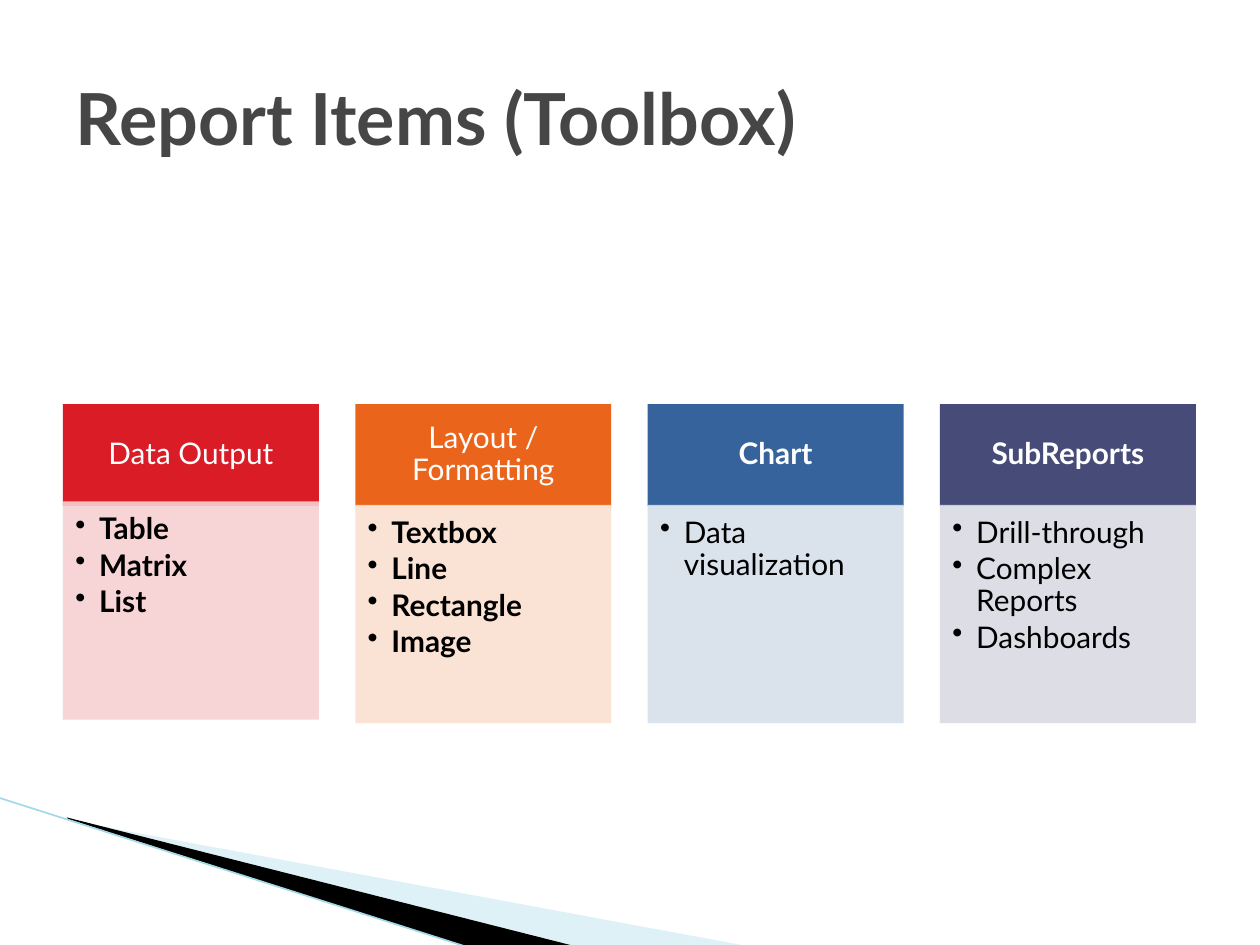
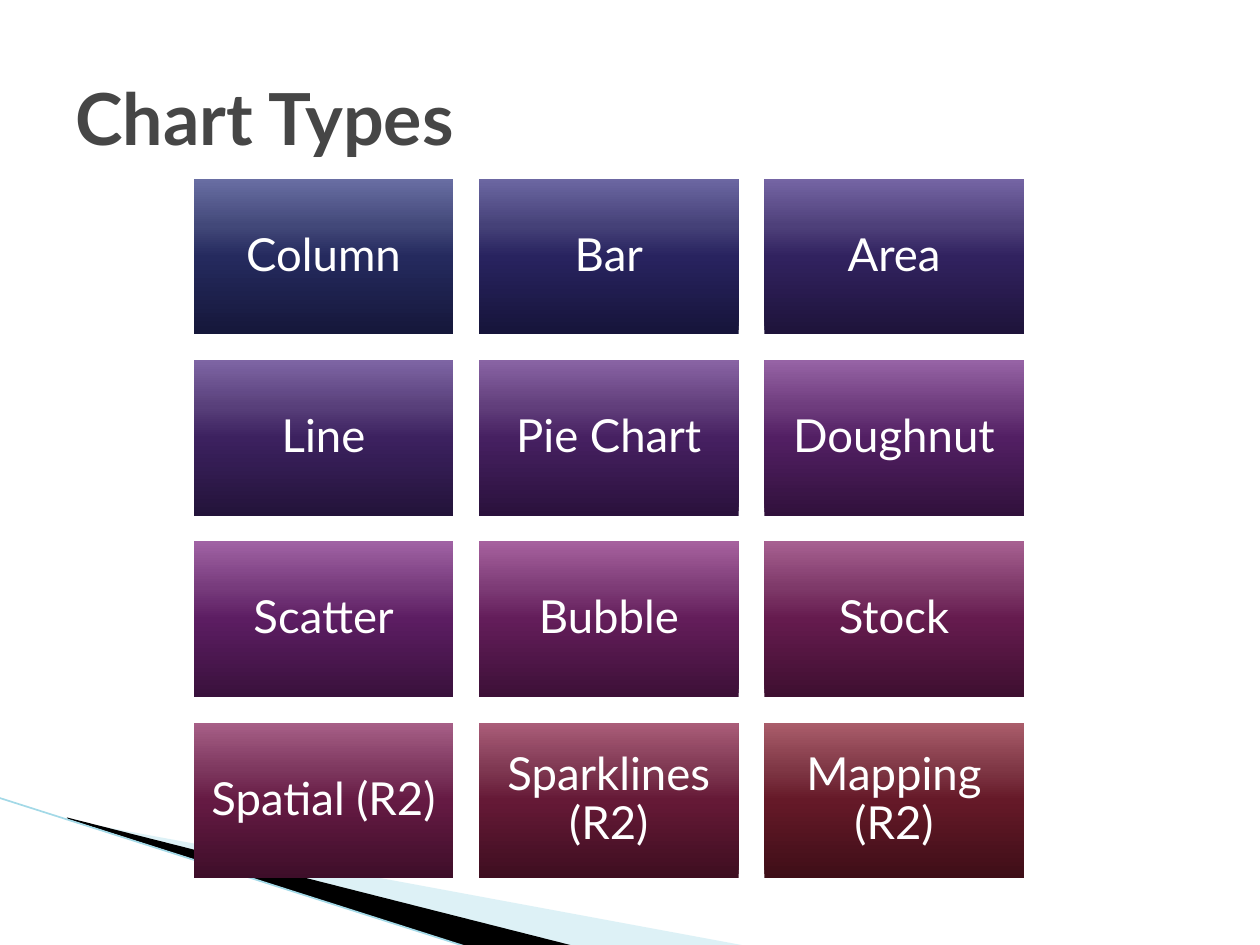
"""Build two slides on report items and chart types."""
from lxml.etree import SubElement as Sub
from pptx import Presentation
from pptx.dml.color import RGBColor as Rgb
from pptx.enum.shapes import MSO_CONNECTOR as Link, MSO_SHAPE as Kind
from pptx.enum.text import MSO_ANCHOR as Anchor, PP_ALIGN as Align
from pptx.oxml.ns import qn
from pptx.util import Cm, Pt

HUES = {
    "title": "464646", "white": "FFFFFF", "black": "000000",
    "pale": "ABDEEA", "edge": "A3D9E7",
    "red": "DA1C27", "rose": "F7D1D3", "orange": "EB641B", "peach": "FADFD0",
    "blue": "37639C", "sky": "D6DFEB", "navy": "474B78", "mist": "D9DAE3",
}
FADES = {
    "Column": "15173A 252A5E 424879 696EA3",
    "Bar": "16143A 28235F 454178 6C67A2",
    "Area": "1E133A 31225F 4E407A 7565A4",
    "Line": "23133A 3C215F 583F7A 7E65A4",
    "Pie Chart": "2A113C 462061 613E7B 8964A4",
    "Doughnut": "31113C 521F63 6E3C7D 9663A5",
    "Scatter": "39113C 5C1D62 773B7C A062A4",
    "Bubble": "3D1037 631D5A 7D3B76 A6619E",
    "Stock": "3E0F30 651B4E 7E3969 A76091",
    "Spatial (R2)": "3E0E29 651A43 7E385F A75F87",
    "Sparklines (R2)": "3E0E20 651936 7F3852 AA5D79",
    "Mapping (R2)": "3E0E17 651928 7F3745 AA5D6B",
}
STOPS = (0, 50, 70, 100)
GROUPS = [
    ("Data Output", False, "red", "rose", 1.96, True,
     ["Table", "Matrix", "List"]),
    ("Layout / Formatting", False, "orange", "peach", 2.03, True,
     ["Textbox", "Line", "Rectangle", "Image"]),
    ("Chart", True, "blue", "sky", 2.03, False, ["Data visualization"]),
    ("SubReports", True, "navy", "mist", 2.03, False,
     ["Drill-through", "Complex Reports", "Dashboards"]),
]
WEDGES = [
    ("pale", 40, [(1.4, 16.54), (15.11, 19.08), (11.58, 19.08), (1.4, 16.51)]),
    ("black", 100, [(1.35, 16.48), (11.61, 19.08), (9.45, 19.1), (1.37, 16.51)]),
]


def rgb(name):
    """Return the named colour."""
    return Rgb.from_string(HUES[name])


def apply(item, **form):
    """Set each format value on the item."""
    for key, value in form.items():
        setattr(item, key, value)


def paint(shape, name, alpha=100):
    """Fill a shape flat, with no line or shadow."""
    shape.shadow.inherit = False
    shape.line.fill.background()
    shape.fill.solid()
    shape.fill.fore_color.rgb = rgb(name)
    if alpha < 100:
        clr = shape._element.spPr.find(qn("a:solidFill"))[0]
        Sub(clr, qn("a:alpha"), val=str(alpha * 1000))


def fade(shape, hues):
    """Fill a shape with a gradient that runs upward."""
    shape.shadow.inherit = False
    shape.line.fill.background()
    shape.fill.gradient()
    shape.fill.gradient_angle = 90
    stops = shape._element.spPr.find(qn("a:gradFill")).find(qn("a:gsLst"))
    for old in list(stops):
        stops.remove(old)
    for pos, hue in zip(STOPS, hues.split()):
        stop = Sub(stops, qn("a:gs"), pos=str(pos * 1000))
        Sub(stop, qn("a:srgbClr"), val=hue)


def write(shape, lines, size, hue, pads, bold=False, anchor=Anchor.MIDDLE, **form):
    """Put lines of text in a shape and return the paragraphs."""
    frame = shape.text_frame
    left, top, right, base = map(Cm, pads)
    apply(frame, word_wrap=True, vertical_anchor=anchor, margin_left=left,
          margin_top=top, margin_right=right, margin_bottom=base)
    frame.text = "\n".join(lines)
    for para in frame.paragraphs:
        apply(para, **form)
        apply(para.runs[0].font, name="Lato", size=Pt(size), bold=bold)
        para.runs[0].font.color.rgb = rgb(hue)
    return frame.paragraphs


def dot(para):
    """Give a paragraph a black bullet and a hanging indent."""
    props = para._p.get_or_add_pPr()
    apply_to = {"marL": Cm(0.48), "indent": -Cm(0.48)}
    for key, value in apply_to.items():
        props.set(key, str(value))
    Sub(Sub(props, qn("a:buClr")), qn("a:srgbClr"), val=HUES["black"])
    Sub(props, qn("a:buChar"), char="•")


def rect(slide, box):
    """Add a rectangle in a box given in centimetres."""
    return slide.shapes.add_shape(Kind.RECTANGLE, *map(Cm, box))


def swoosh(slide):
    """Draw the wedges and the thin line at the foot."""
    for hue, alpha, spots in WEDGES:
        first, *rest = [(Cm(x), Cm(y)) for x, y in spots]
        pen = slide.shapes.build_freeform(*first)
        pen.add_line_segments(rest)
        paint(pen.convert_to_shape(), hue, alpha)
    ends = map(Cm, (-0.03, 16.08, 9.45, 19.1))
    edge = slide.shapes.add_connector(Link.STRAIGHT, *ends)
    edge.line.color.rgb = rgb("edge")
    edge.line.width = Pt(0.95)
    Sub(edge._element.spPr, qn("a:effectLst"))


def start(deck, title):
    """Add a slide with the shared foot and title."""
    slide = deck.slides.add_slide(deck.slide_layouts[6])
    swoosh(slide)
    box = slide.shapes.add_textbox(*map(Cm, (1.27, 0.76, 22.86, 3.18)))
    write(box, [title], 41, "title", (0.25, 0.13, 0.25, 0.13), True)
    return slide


def panel(slide, box, group):
    """Draw a headed list; the head and the list share the box width."""
    name, strong, dark, light, drop, bold, items = group
    left, top, wide, high = box
    head = rect(slide, (left, top, wide, 2.05))
    paint(head, dark)
    write(head, [name], 17, "white", (0.33, 0.2, 0.33, 0.2), strong,
          alignment=Align.CENTER, line_spacing=0.9, space_after=Pt(6))
    body = rect(slide, (left, top + drop, wide, high - 2.03))
    paint(body, light, 90)
    paras = write(body, items, 17, "black", (0.25, 0.25, 0.33, 0.38), bold,
                  Anchor.TOP, alignment=Align.LEFT, line_spacing=0.9,
                  space_before=Pt(2.5))
    paras[0].space_before = Pt(0)
    paras[-1].space_after = Pt(2.5)
    for para in paras:
        dot(para)


def panels(slide, box):
    """Set the headed lists side by side in the box."""
    left, top, wide, high = box
    width = 5.16
    step = (wide - width) / (len(GROUPS) - 1)
    for i, group in enumerate(GROUPS):
        panel(slide, (left + i * step, top, width, high), group)


def grid(slide, box, cols=3, gap=0.52):
    """Set the chart types in a grid that fills the box."""
    left, top, wide, high = box
    rows = len(FADES) // cols
    width = (wide - gap * (cols - 1)) / cols
    height = (high - gap * (rows - 1)) / rows
    for i, (name, hues) in enumerate(FADES.items()):
        row, col = divmod(i, cols)
        tile = rect(slide, (left + col * (width + gap),
                            top + row * (height + gap), width, height))
        fade(tile, hues)
        write(tile, [name], 26, "white", (0.28,) * 4, alignment=Align.CENTER,
              line_spacing=0.9, space_after=Pt(9.1))


def main():
    """Build and save the deck."""
    deck = Presentation()
    apply(deck, slide_width=Cm(25.4), slide_height=Cm(19.05))
    panels(start(deck, "Report Items (Toolbox)"), (1.27, 8.15, 22.84, 6.43))
    grid(start(deck, "Chart Types"), (3.91, 3.61, 16.73, 14.09))
    deck.save("out.pptx")


if __name__ == "__main__":
    main()
